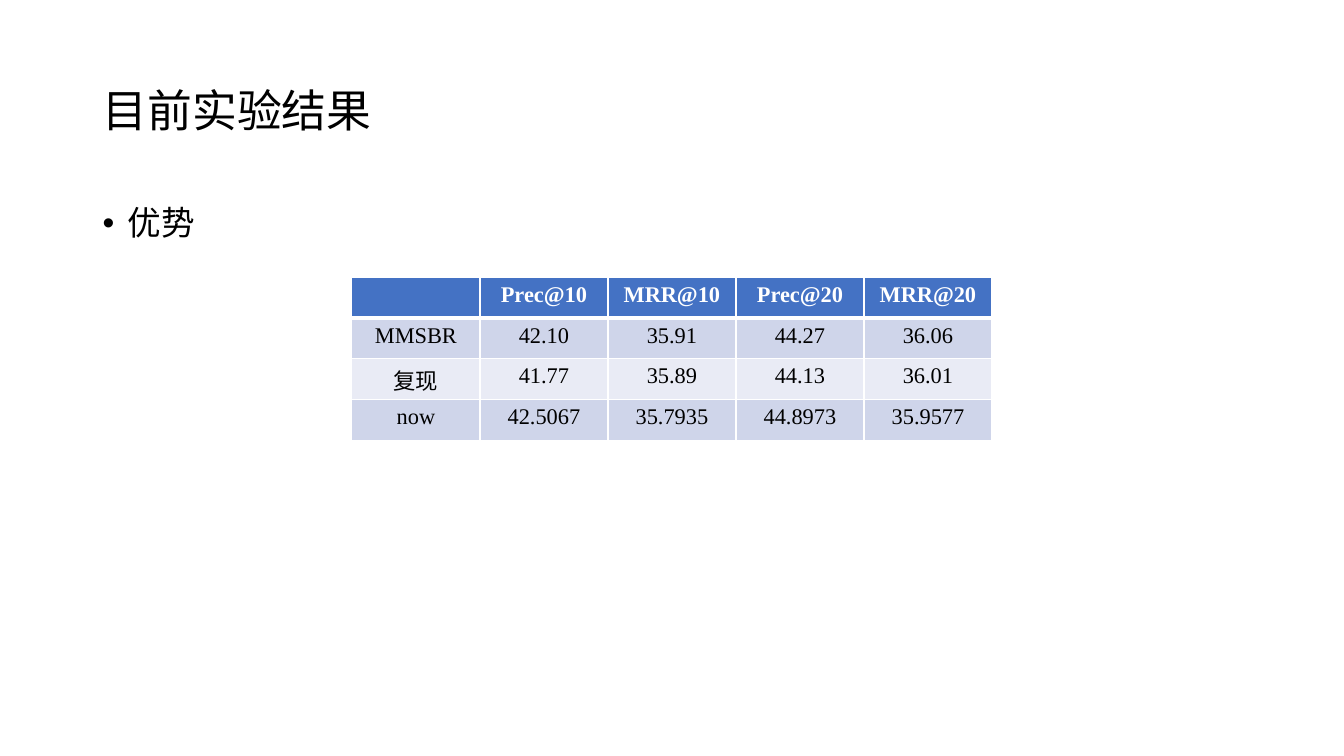
from lxml.etree import SubElement
from pptx import Presentation
from pptx.dml.color import RGBColor
from pptx.enum.text import MSO_ANCHOR, PP_ALIGN
from pptx.oxml import parse_xml
from pptx.oxml.ns import nsdecls, qn
from pptx.util import Inches, Pt

CJK, LATIN = "Noto Sans CJK SC", "Times New Roman"
HEADER_FILL, BAND_FILLS = "4472C4", ("CFD5EA", "E9EBF5")
RESULTS = [
    ["", "Prec@10", "MRR@10", "Prec@20", "MRR@20"],
    ["MMSBR", "42.10", "35.91", "44.27", "36.06"],
    ["复现", "41.77", "35.89", "44.13", "36.01"],
    ["now", "42.5067", "35.7935", "44.8973", "35.9577"],
]


def rgb(value):
    return RGBColor.from_string(value)


def style(p, size, font, color="000000", bold=False):
    """Set the paragraph's font, for East Asian script as well as Latin."""
    f = p.font
    f.size, f.name, f.bold = Pt(size), font, bold
    f.color.rgb = rgb(color)
    SubElement(f._element, qn("a:ea"), typeface=font)


def add_text(slide, box, text, size, anchor):
    tf = slide.shapes.add_textbox(*map(Inches, box)).text_frame
    tf.word_wrap = True
    tf.vertical_anchor = anchor
    p = tf.paragraphs[0]
    p.text = text
    p.line_spacing = 0.9
    style(p, size, CJK)
    return p


def add_title(slide, box, text):
    add_text(slide, box, text, 32, MSO_ANCHOR.MIDDLE)


def add_bullet(slide, box, text):
    p = add_text(slide, box, text, 24, MSO_ANCHOR.TOP)
    p.space_before = Pt(10)
    pPr = p._p.get_or_add_pPr()
    pPr.set("marL", str(Inches(0.25)))
    pPr.set("indent", str(-Inches(0.25)))
    bullet = [f'<a:buFont {nsdecls("a")} typeface="Arial"/>',
              f'<a:buChar {nsdecls("a")} char="•"/>']
    for xml in bullet:
        pPr.find(qn("a:defRPr")).addprevious(parse_xml(xml))


def set_borders(cell, widths):
    """Draw white left, right, top and bottom borders of the given points."""
    tcPr = cell._tc.get_or_add_tcPr()
    for i, (side, width) in enumerate(zip("LRTB", widths)):
        tcPr.insert(i, parse_xml(
            f'<a:ln{side} {nsdecls("a")} w="{Pt(width)}"><a:solidFill>'
            f'<a:srgbClr val="FFFFFF"/></a:solidFill></a:ln{side}>'))


def add_results_table(slide, box, rows):
    table = slide.shapes.add_table(
        len(rows), len(rows[0]), *map(Inches, box)).table
    for i, row in enumerate(rows):
        header = i == 0
        for j, text in enumerate(row):
            cell = table.cell(i, j)
            cell.text = text
            cell.fill.solid()
            cell.fill.fore_color.rgb = rgb(
                HEADER_FILL if header else BAND_FILLS[(i - 1) % 2])
            set_borders(cell, (1, 1, 3 if i == 1 else 1, 3 if header else 1))
            p = cell.text_frame.paragraphs[0]
            p.alignment = PP_ALIGN.CENTER
            style(p, 16, LATIN if text.isascii() else CJK,
                  "FFFFFF" if header else "000000", header)


def main():
    prs = Presentation()
    prs.slide_width, prs.slide_height = Inches(13.33), Inches(7.5)
    slide = prs.slides.add_slide(prs.slide_layouts[6])
    add_title(slide, (0.92, 0.4, 11.5, 1.45), "目前实验结果")
    add_bullet(slide, (0.92, 2, 11.5, 4.76), "优势")
    add_results_table(slide, (3.49, 2.75, 6.35, 1.62), RESULTS)
    prs.save("out.pptx")


if __name__ == "__main__":
    main()
